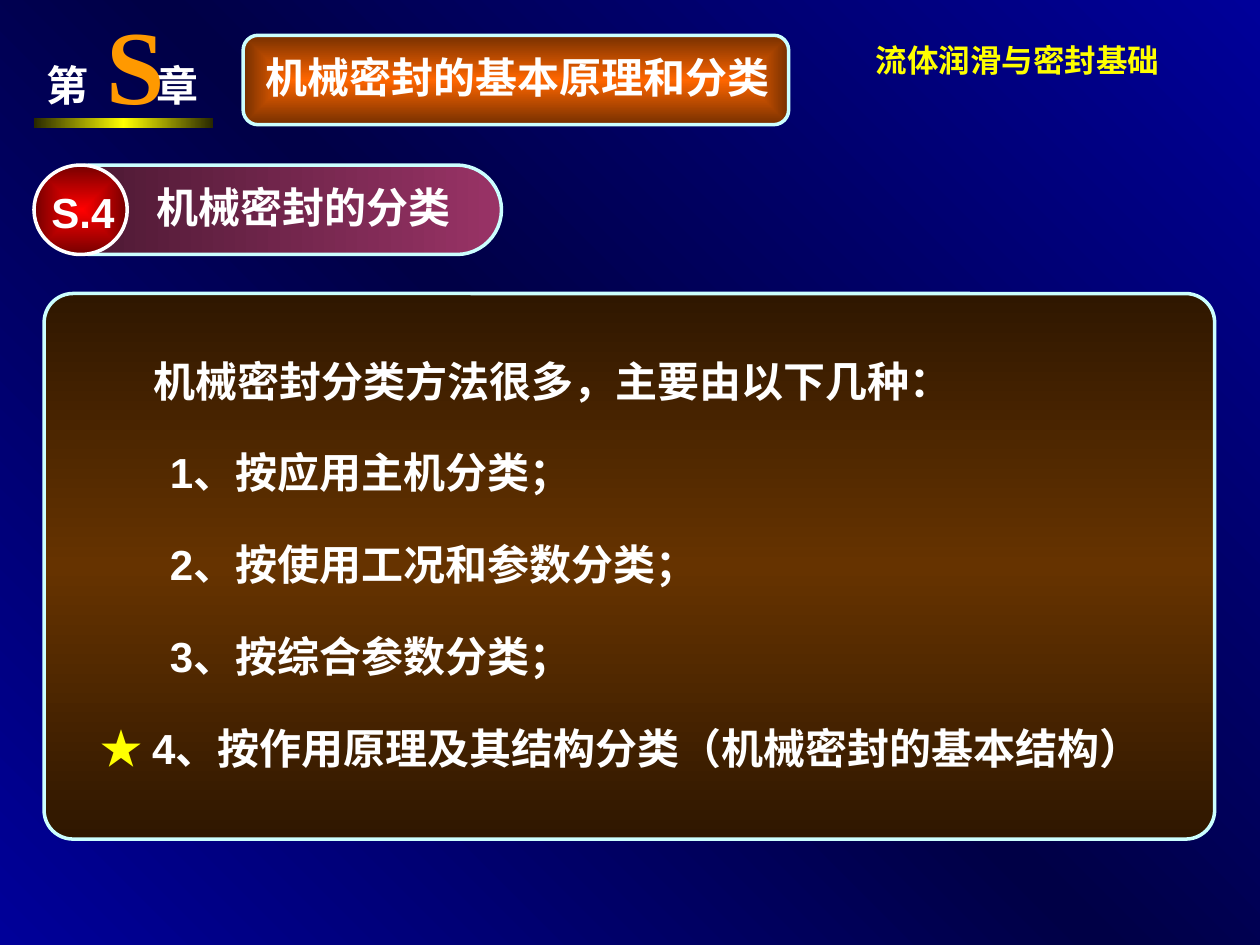
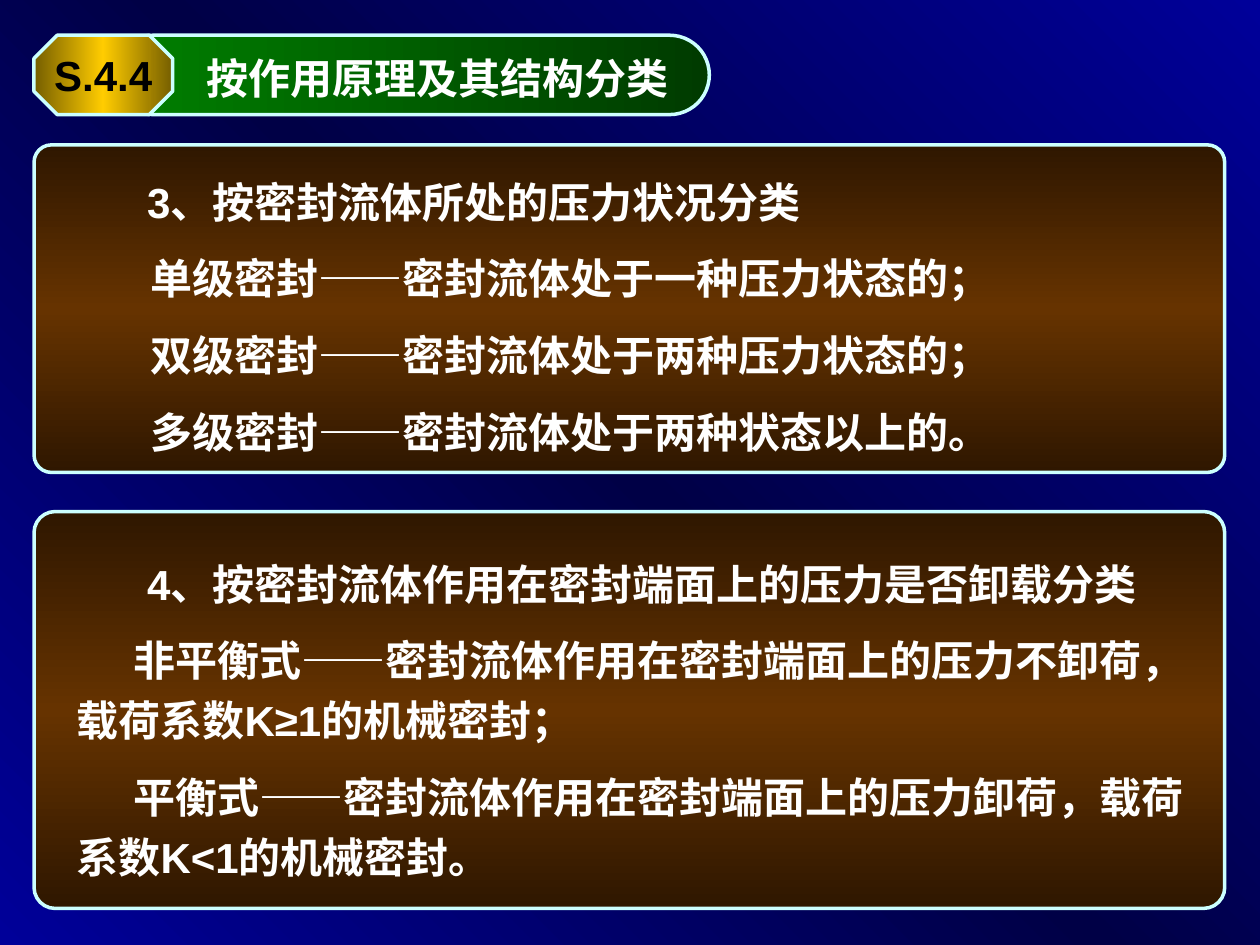
from lxml import etree
from pptx import Presentation
from pptx import util as u
from pptx.dml.color import RGBColor
from pptx.enum import shapes, text
from pptx.oxml.ns import qn

COLOURS = {
    "white": "FFFFFF", "black": "000000", "yellow": "FFFF00", "orange": "FF9900",
    "outline": "CCFFFF", "blue": "000099", "navy": "000046",
    "brown": "663300", "dark brown": "2F1700",
    "plum": "993366", "dark plum": "46172F", "red": "FF0000", "dark red": "750000",
    "flame": "FF6600", "rust": "752F00", "olive": "282800",
    "green": "008000", "dark green": "003B00", "gold": "FFCC00", "bronze": "755E00",
}
SANS, SERIF, CHINESE = "Arial", "Times New Roman", "Noto Sans CJK SC"
SHAPE = shapes.MSO_SHAPE
LEFT, CENTRE = text.PP_ALIGN.LEFT, text.PP_ALIGN.CENTER


def box_lengths(box):
    return [u.Inches(length) for length in box]


class Deck:
    """Holds the style, the presentation and the current slide."""

    def __init__(self):
        self.presentation = Presentation()
        self.presentation.slide_width = u.Inches(10)
        self.presentation.slide_height = u.Inches(7.5)
        self.slide = None

    def new_slide(self):
        self.slide = self.presentation.slides.add_slide(self.presentation.slide_layouts[5])
        self.gradient(self.slide.background.fill, self.slide.element,
                      ["blue", "navy", "blue"], 135)

    def gradient(self, fill, element, names, angle=None):
        """Evenly spaced stops; without an angle they run from the centre out."""
        fill.gradient()
        gradient = element.find(".//" + qn("a:gradFill"))
        for child in list(gradient):
            gradient.remove(child)
        stops = etree.SubElement(gradient, qn("a:gsLst"))
        for index, name in enumerate(names):
            stop = etree.SubElement(stops, qn("a:gs"),
                                    pos=str(100000 * index // (len(names) - 1)))
            etree.SubElement(stop, qn("a:srgbClr"), val=COLOURS[name])
        if angle is None:
            path = etree.SubElement(gradient, qn("a:path"), {"path": "rect"})
            etree.SubElement(path, qn("a:fillToRect"),
                             dict.fromkeys("ltrb", "50000"))
        else:
            etree.SubElement(gradient, qn("a:lin"), ang=str(angle * 60000), scaled="0")

    def shape(self, kind, box, names, angle=None, line="outline", corner=None):
        shape = self.slide.shapes.add_shape(kind, *box_lengths(box))
        shape.shadow.inherit = False
        if corner is not None:
            shape.adjustments[0] = corner
        self.gradient(shape.fill, shape._element, names, angle)
        if line:
            shape.line.color.rgb = RGBColor.from_string(COLOURS[line])
            shape.line.width = u.Pt(2)
        else:
            shape.line.fill.background()
        return shape

    def panel(self, box):
        self.shape(SHAPE.ROUNDED_RECTANGLE, box,
                   ["dark brown", "brown", "dark brown"], 90, corner=0.053)

    def pill(self, box, names):
        self.shape(SHAPE.ROUNDED_RECTANGLE, box, names, 180, corner=0.5)

    def run(self, paragraph, words, size=24, font=SANS, colour="white"):
        run = paragraph.add_run()
        run.text = words
        run.font.size = u.Pt(size)
        run.font.bold = True
        run.font.name = font
        run.font.color.rgb = RGBColor.from_string(COLOURS[colour])
        east_asian = etree.Element(qn("a:ea"), typeface=CHINESE)
        run._r.rPr.find(qn("a:latin")).addnext(east_asian)

    def frame(self, shape, wrap=True, anchor=text.MSO_ANCHOR.TOP):
        frame = shape.text_frame
        frame.auto_size = text.MSO_AUTO_SIZE.NONE
        frame.word_wrap = wrap
        frame.vertical_anchor = anchor
        return frame

    def label(self, box, words, align=LEFT, wrap=True, tab=None, **style):
        """A single line of text in its own box."""
        label = self.slide.shapes.add_textbox(*box_lengths(box))
        paragraph = self.frame(label, wrap).paragraphs[0]
        paragraph.alignment = align
        if tab:
            tabs = etree.SubElement(paragraph._p.get_or_add_pPr(), qn("a:tabLst"))
            etree.SubElement(tabs, qn("a:tab"), pos=str(u.Inches(tab)), algn="l")
        self.run(paragraph, words, **style)
        return label

    def title(self, box, words, align=LEFT):
        title = self.slide.shapes.title
        title.left, title.top, title.width, title.height = box_lengths(box)
        frame = self.frame(title)
        paragraph = frame.paragraphs[0]
        paragraph.alignment = align
        self.run(paragraph, words)
        self.slide.shapes._spTree.append(title._element)  # in front of its band

    def body(self, box, paragraphs, before):
        """paragraphs: (runs, first-line indent, line spacing, alignment)."""
        body = self.slide.shapes.add_textbox(*box_lengths(box))
        frame = self.frame(body)
        for index, (runs, indent, spacing, align) in enumerate(paragraphs):
            paragraph = frame.add_paragraph() if index else frame.paragraphs[0]
            paragraph.alignment = align
            paragraph.line_spacing = spacing
            paragraph.space_before = u.Pt(before if index else 0)
            properties = paragraph._p.get_or_add_pPr()
            properties.set("marL", "0")
            properties.set("indent", str(u.Inches(indent)))
            for words, style in runs:
                self.run(paragraph, words, **style)


def plain(words, indent=0, spacing=1.3, align=LEFT):
    return [(words, {})], indent, spacing, align


def classification_overview(deck):
    deck.new_slide()
    deck.panel((0.35, 2.33, 9.29, 4.33))

    # Course name and chapter mark
    deck.label((6.5, 0.28, 3.15, 0.71), "流体润滑与密封基础", CENTRE,
               size=18, font=CHINESE, colour="yellow")
    deck.label((0.27, 0.42, 1.75, 0.5), "第\t章", tab=0.87, font=SERIF)
    mark = deck.label((0.75, 0, 0.92, 1), "S", size=60, font=SERIF, colour="orange")
    mark.text_frame.margin_top = mark.text_frame.margin_bottom = 0
    deck.shape(SHAPE.RECTANGLE, (0.27, 0.94, 1.42, 0.08),
               ["olive", "yellow", "olive"], 180, line=None)

    # Section heading
    deck.pill((0.37, 1.31, 3.61, 0.71), ["plum", "dark plum"])
    deck.shape(SHAPE.OVAL, (0.27, 1.31, 0.74, 0.71), ["red", "dark red"], line="white")
    deck.label((0.31, 1.43, 0.71, 0.5), "S.4", wrap=False)
    deck.title((1.14, 1.39, 2.76, 0.5), "机械密封的分类")

    # Chapter heading
    deck.shape(SHAPE.ROUNDED_RECTANGLE, (1.93, 0.28, 4.33, 0.71),
               ["flame", "rust"], corner=0.167)
    deck.label((2.01, 0.36, 4.2, 0.5), "机械密封的基本原理和分类", CENTRE, wrap=False)

    # List of classifications
    items = ["1、按应用主机分类；", "2、按使用工况和参数分类；", "3、按综合参数分类；"]
    starred = [("★ ", {"font": CHINESE, "colour": "yellow"}),
               ("4、按作用原理及其结构分类（机械密封的基本结构）", {})]
    deck.body((0.51, 2.65, 9.06, 3.53),
              [plain("机械密封分类方法很多，主要由以下几种：", 0.61)]
              + [plain(item, 0.74) for item in items]
              + [(starred, 0.19, 1.3, LEFT)], before=15)


def pressure_classification(deck):
    deck.new_slide()

    # Section heading, with room for the whole line
    deck.pill((0.9, 0.28, 4.73, 0.63), ["dark green", "green"])
    deck.title((1.39, 0.37, 4.16, 0.5), "按作用原理及其结构分类", CENTRE)
    badge = deck.shape(SHAPE.OCTAGON, (0.27, 0.28, 1.1, 0.63),
                       ["bronze", "gold", "bronze"], 180, corner=0.293)
    paragraph = deck.frame(badge, False, text.MSO_ANCHOR.MIDDLE).paragraphs[0]
    paragraph.alignment = CENTRE
    deck.run(paragraph, "S.4.4", colour="black")

    # Pressure state of the sealed fluid
    deck.panel((0.27, 1.15, 9.45, 2.6))
    stages = ["单级密封——密封流体处于一种压力状态的；",
              "双级密封——密封流体处于两种压力状态的；",
              "多级密封——密封流体处于两种状态以上的。"]
    deck.body((0.51, 1.23, 8.03, 2.45),
              [plain("3、按密封流体所处的压力状况分类", 0.56)]
              + [plain(stage, spacing=1.0, align=CENTRE) for stage in stages], before=15)

    # Balanced and unbalanced seals
    deck.panel((0.27, 4.06, 9.45, 3.15))
    balance = [
        ("4、按密封流体作用在密封端面上的压力是否卸载分类", 0.56),
        ("非平衡式——密封流体作用在密封端面上的压力不卸荷，载荷系数K≥1的机械密封；", 0.45),
        ("平衡式——密封流体作用在密封端面上的压力卸荷，载荷系数K<1的机械密封。", 0.45),
    ]
    deck.body((0.51, 4.3, 9.13, 2.75),
              [plain(words, indent, 1.2) for words, indent in balance], before=9)


def main():
    deck = Deck()
    classification_overview(deck)
    pressure_classification(deck)
    deck.presentation.save("out.pptx")


if __name__ == "__main__":
    main()
